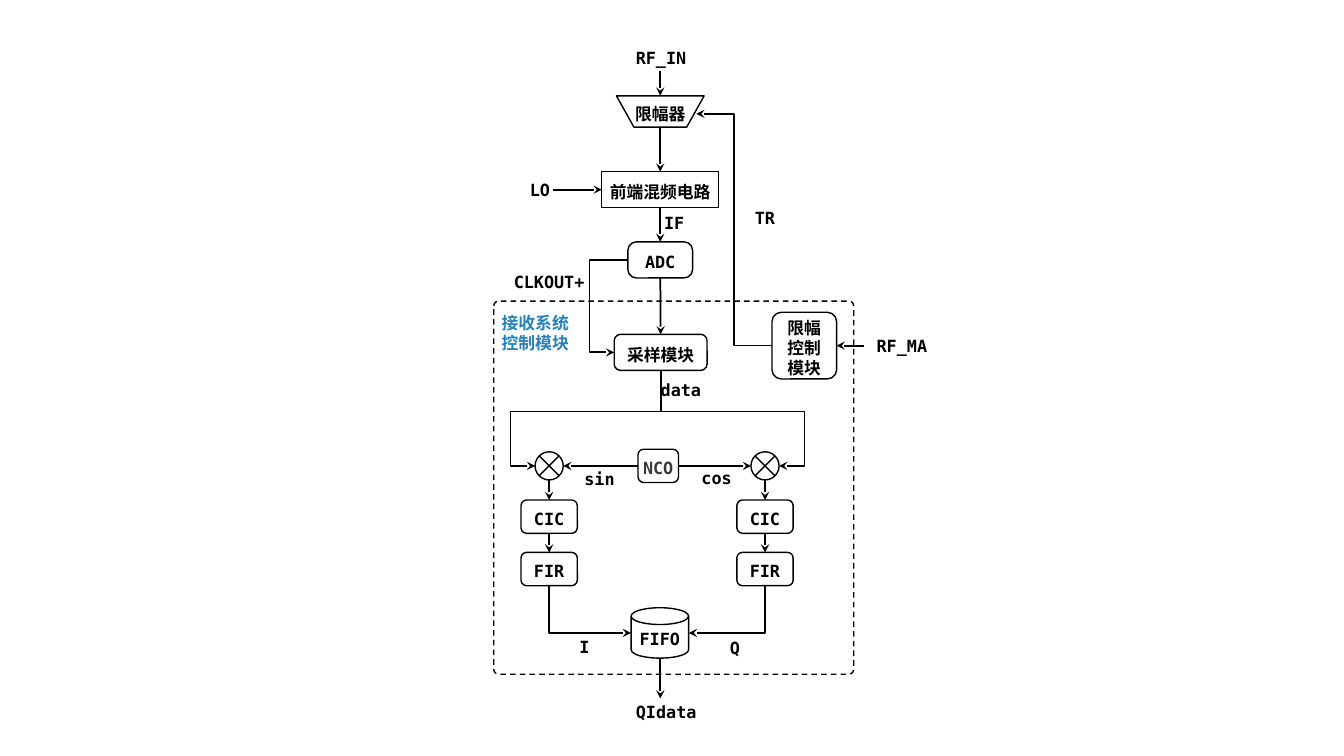
from lxml import etree
from pptx import Presentation
from pptx import util as u
from pptx.dml.color import RGBColor
from pptx.enum import dml, shapes, text
from pptx.oxml.ns import qn

FONT = "DejaVu Sans Mono"
COLORS = {"ink": "000000", "module": "2481BA", "nco": "3B3838"}
TOP, LEFT, BOTTOM, RIGHT = range(4)

# Content, in centimetres: shared axes first
MID, LEFT_ARM, RIGHT_ARM = 16.64, 13.84, 19.28
MIX_Y, FIFO_Y, MIXER = 11.74, 15.95, 0.71

# key: (text, centre x, centre y, width, height, corner radius ratio, colour)
BLOCKS = {
    "front": ("前端混频电路", MID, 4.78, 2.95, 0.91, 0, "ink"),
    "adc": ("ADC", MID, 6.55, 1.63, 0.91, 0.233, "ink"),
    "sampler": ("采样模块", 16.65, 8.88, 2.34, 0.91, 0.175, "ink"),
    "limit": ("限幅\n控制\n模块", 20.27, 8.71, 1.63, 1.68, 0.143, "ink"),
    "nco": ("NCO", 16.59, MIX_Y, 1.02, 0.84, 0.167, "nco"),
}
for arm, arm_x in (("I", LEFT_ARM), ("Q", RIGHT_ARM)):
    BLOCKS["cic" + arm] = ("CIC", arm_x, 13.02, 1.42, 0.84, 0.167, "ink")
    BLOCKS["fir" + arm] = ("FIR", arm_x, 14.34, 1.42, 0.84, 0.167, "ink")

# (text, centre x, centre y, width, height, colour)
LABELS = [
    ("接收系统控制模块", 13.49, 8.38, 1.88, 1.02, "module"),
    ("限幅器", MID, 2.87, 1.93, 0.51, "ink"),
    ("RF_IN", 16.66, 1.45, 1.93, 0.51, "ink"),
    ("LO", 13.61, 4.78, 1.93, 0.51, "ink"),
    ("IF", 16.99, 5.61, 1.93, 0.51, "ink"),
    ("TR", 19.28, 5.49, 1.93, 0.51, "ink"),
    ("CLKOUT+", 13.84, 7.09, 1.93, 0.51, "ink"),
    ("RF_MA", 22.73, 8.71, 1.93, 0.51, "ink"),
    ("data", 17.16, 9.83, 1.14, 0.51, "ink"),
    ("sin", 15.11, 12.07, 1.93, 0.51, "ink"),
    ("cos", 18.06, 12.04, 1.93, 0.51, "ink"),
    ("I", 14.73, 16.31, 1.93, 0.51, "ink"),
    ("Q", 18.52, 16.33, 1.93, 0.51, "ink"),
    ("QIdata", 16.79, 17.93, 3.66, 0.51, "ink"),
]

# Straight arrows; an end is a point or (block, side)
ARROWS = [
    ((MID, 1.78), (MID, 2.41)),
    ((MID, 3.2), ("front", TOP)),
    ((13.94, 4.78), ("front", LEFT)),
    (("front", BOTTOM), ("adc", TOP)),
    (("adc", BOTTOM), ("sampler", TOP)),
    ((21.77, 8.71), ("limit", RIGHT)),
    (("nco", LEFT), (LEFT_ARM + MIXER / 2, MIX_Y)),
    (("nco", RIGHT), (RIGHT_ARM - MIXER / 2, MIX_Y)),
    ((MID, 16.59), (MID, 17.6)),
]
for arm, arm_x in (("I", LEFT_ARM), ("Q", RIGHT_ARM)):
    ARROWS += [((arm_x, MIX_Y + MIXER / 2), ("cic" + arm, TOP)),
               (("cic" + arm, BOTTOM), ("fir" + arm, TOP))]

# Bent arrows: start, end, coordinates of the bends, leaves sideways
BENT_ARROWS = [
    ((19.45, 8.71), (17.55, 2.87), [18.5], True),
    ((15.82, 6.55), (15.48, 8.88), [14.86], True),
    ((16.65, 9.33), (LEFT_ARM - MIXER / 2, MIX_Y), [10.37, 12.86], False),
    ((16.65, 9.33), (RIGHT_ARM + MIXER / 2, MIX_Y), [10.37, 20.27], False),
    ((LEFT_ARM, 14.76), (15.9, FIFO_Y), [], False),
    ((RIGHT_ARM, 14.76), (17.36, FIFO_Y), [], False),
]

prs = Presentation()
prs.slide_width, prs.slide_height = u.Cm(33.87), u.Cm(19.05)
slide = prs.slides.add_slide(prs.slide_layouts[6])


def centred(x, y, w, h):
    return [u.Cm(v) for v in (x - w / 2, y - h / 2, w, h)]


def write(owner, words, color, right_inset=0.0):
    frame = owner.text_frame
    frame.margin_left = frame.margin_top = frame.margin_bottom = 0
    frame.margin_right = 0
    frame.margin_top = u.Cm(right_inset)
    frame.word_wrap = True
    frame.vertical_anchor = text.MSO_ANCHOR.MIDDLE
    frame.text = words
    for paragraph in frame.paragraphs:
        paragraph.alignment = text.PP_ALIGN.CENTER
        for run in paragraph.runs:
            run.font.name, run.font.size, run.font.bold = FONT, u.Pt(12), True
            run.font.color.rgb = RGBColor.from_string(COLORS[color])


def outline(kind, x, y, w, h, radius=None):
    shape = slide.shapes.add_shape(kind, *centred(x, y, w, h))
    shape.shadow.inherit = False
    shape.fill.background()
    shape.line.color.rgb = RGBColor.from_string(COLORS["ink"])
    shape.line.width = u.Pt(1)
    if radius is not None:
        shape.adjustments[0] = radius
    return shape


def arrow(kind, start, end):
    line = slide.shapes.add_connector(kind, *[u.Cm(v) for v in (*start, *end)])
    line.line.color.rgb = RGBColor.from_string(COLORS["ink"])
    line.line.width = u.Pt(1.25)
    etree.SubElement(line.line._get_or_add_ln(), qn("a:tailEnd"), type="stealth")
    etree.SubElement(line._element.spPr, qn("a:effectLst"))
    return line


def place(end):
    """Point of an arrow end."""
    if not isinstance(end[0], str):
        return end
    _, x, y, w, h, *_ = BLOCKS[end[0]]
    dx, dy = [(0, -h), (-w, 0), (0, h), (w, 0)][end[1]]
    return x + dx / 2, y + dy / 2


def bent_arrow(start, end, bends, sideways):
    (x1, y1), (x2, y2) = start, end
    axis = 0 if sideways else 1
    turn = 0
    begin, finish = start, end
    if not sideways:  # the frame is laid on its side, then turned
        cx, cy = (x1 + x2) / 2, (y1 + y2) / 2
        half_w, half_h = (y2 - y1) / 2, abs(x2 - x1) / 2
        turn, sign = (90, 1) if x2 < x1 else (270, -1)
        begin = cx - sign * half_w, cy - half_h
        finish = cx + sign * half_w, cy + half_h
    line = arrow(shapes.MSO_CONNECTOR.ELBOW, begin, finish)
    if turn:
        line._element.spPr.find(qn("a:xfrm")).set("rot", str(turn * 60000))
    geometry = line._element.spPr.find(qn("a:prstGeom"))
    geometry.set("prst", f"bentConnector{len(bends) + 2}")
    guides = geometry.find(qn("a:avLst"))
    if guides is None:
        guides = etree.SubElement(geometry, qn("a:avLst"))
    for i, bend in enumerate(bends):
        k = (axis + i) % 2
        ratio = (bend - start[k]) / (end[k] - start[k])
        etree.SubElement(guides, qn("a:gd"), name=f"adj{i + 1}",
                         fmla=f"val {round(ratio * 100000)}")


# Dashed frame of the receiver control module
kinds = shapes.MSO_SHAPE
module = outline(kinds.ROUNDED_RECTANGLE, 16.98, 12.29, 9.07, 9.4, 0.013)
module.line.dash_style = dml.MSO_LINE.DASH

# Blocks, limiter, mixers and buffer
blocks = {}
for key, (words, x, y, w, h, radius, color) in BLOCKS.items():
    blocks[key] = outline(kinds.ROUNDED_RECTANGLE, x, y, w, h, radius)
    write(blocks[key], words, color, 0.1)
limiter = outline(kinds.TRAPEZOID, MID, 2.81, 2.21, 0.79, 0.558)
limiter.rotation = 180
for arm_x in (LEFT_ARM, RIGHT_ARM):
    outline(kinds.FLOWCHART_SUMMING_JUNCTION, arm_x, MIX_Y, MIXER, MIXER)
fifo = outline(kinds.FLOWCHART_MAGNETIC_DISK, 16.63, FIFO_Y, 1.45, 1.27)
write(fifo, "FIFO", "ink", 0.1)

# Labels
for words, x, y, w, h, color in LABELS:
    write(slide.shapes.add_textbox(*centred(x, y, w, h)), words, color)

# Arrows
for start, end in ARROWS:
    line = arrow(shapes.MSO_CONNECTOR.STRAIGHT, place(start), place(end))
    if start[0] in blocks:
        line.begin_connect(blocks[start[0]], start[1])
    if end[0] in blocks:
        line.end_connect(blocks[end[0]], end[1])
for route in BENT_ARROWS:
    bent_arrow(*route)

prs.save("out.pptx")
